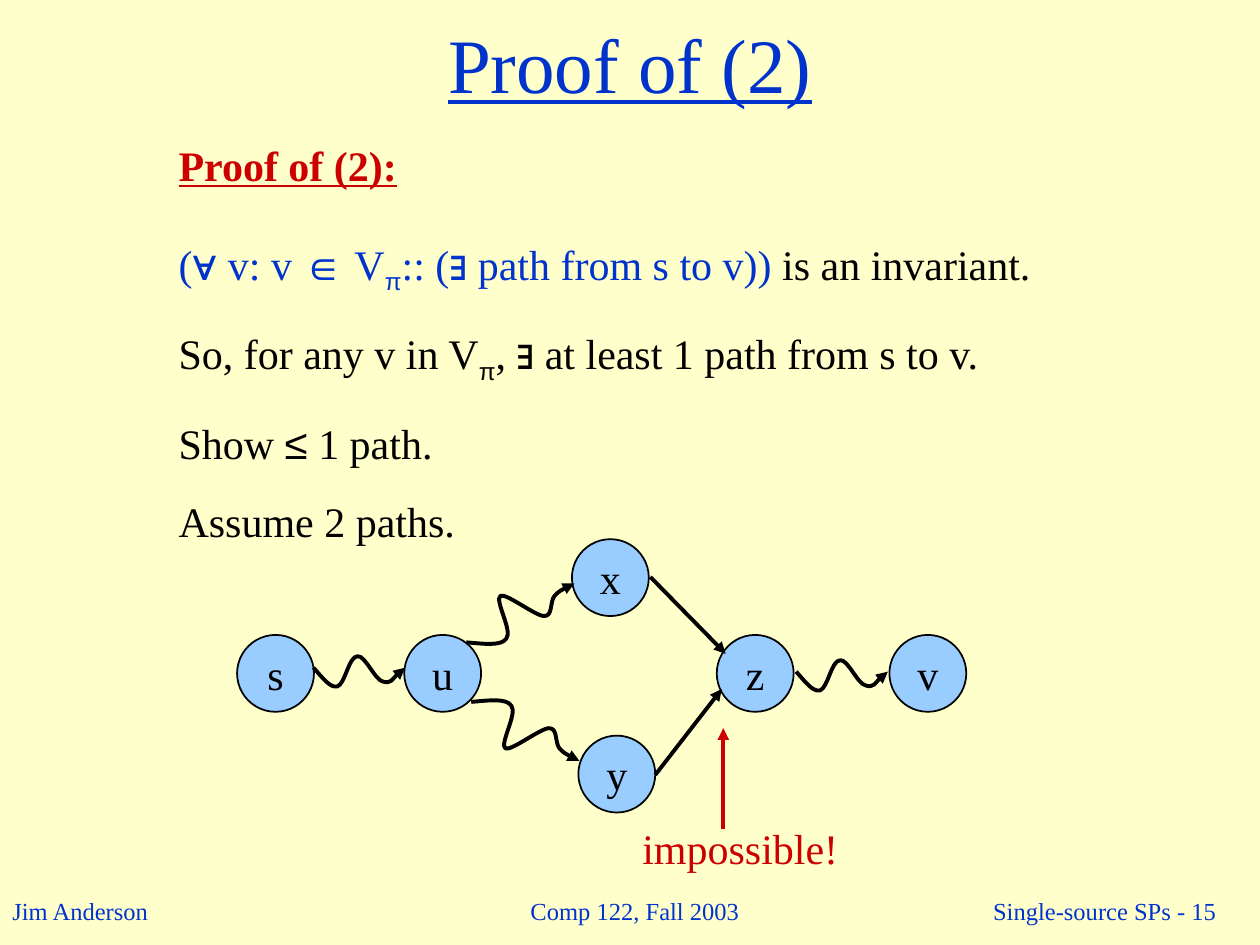
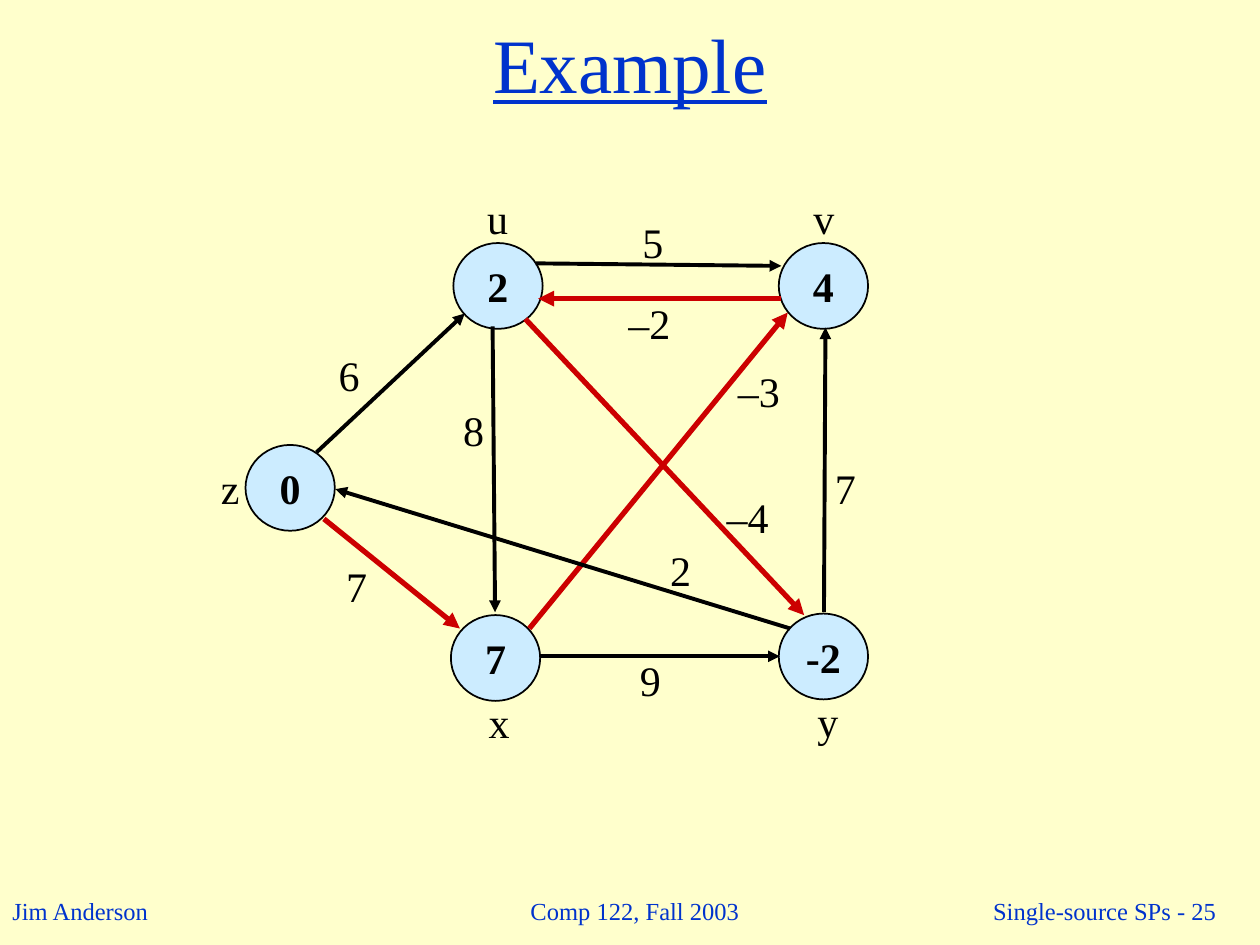
from lxml.etree import SubElement
from pptx import Presentation
from pptx.dml.color import RGBColor
from pptx.enum.shapes import MSO_CONNECTOR, MSO_SHAPE
from pptx.enum.text import MSO_ANCHOR, MSO_AUTO_SIZE, PP_ALIGN
from pptx.oxml.ns import qn
from pptx.util import Cm, Pt

COLORS = {
    name: RGBColor.from_string(value)
    for name, value in {
        "background": "FFFFCC",
        "blue": "0033CC",
        "red": "CC0000",
        "black": "000000",
        "path node": "99CCFF",
        "graph node": "CCECFF",
    }.items()
}
SERIF = "Times New Roman"
SANS = "Arial"


def write(shape, text, size=24, color="black", align=PP_ALIGN.CENTER, bold=False):
    frame = shape.text_frame
    frame.auto_size = MSO_AUTO_SIZE.NONE
    frame.word_wrap = align != PP_ALIGN.CENTER
    frame.vertical_anchor = MSO_ANCHOR.MIDDLE
    frame.text = text
    paragraph = frame.paragraphs[0]
    paragraph.alignment = align
    paragraph.font.name = SERIF
    paragraph.font.size = Pt(size)
    paragraph.font.bold = bold
    paragraph.font.color.rgb = COLORS[color]
    return paragraph


def style_arrow(shape, color="black", width=2.25):
    shape.line.color.rgb = COLORS[color]
    shape.line.width = Pt(width)
    properties = shape._element.spPr
    SubElement(properties.find(qn("a:ln")), qn("a:tailEnd"), type="triangle")
    SubElement(properties, qn("a:effectLst"))


presentation = Presentation()
presentation.slide_width = Cm(25.4)
presentation.slide_height = Cm(19.05)
background = presentation.slide_master.background.fill
background.solid()
background.fore_color.rgb = COLORS["background"]

slides = []
for title_text, page in [("Proof of (2)", 15), ("Example", 25)]:
    slide = presentation.slides.add_slide(presentation.slide_layouts[5])
    slides.append(slide)
    title = slide.shapes.title
    title.left, title.top, title.width, title.height = Cm(0), Cm(0), Cm(25.4), Cm(2.54)
    write(title, title_text, 44, "blue").font.underline = True
    for left, width, text, align in [
        (0, 5, "Jim Anderson", PP_ALIGN.LEFT),
        (10.16, 5.28, "Comp 122, Fall 2003", PP_ALIGN.CENTER),
        (17.78, 6.99, f"Single-source SPs - {page}", PP_ALIGN.RIGHT),
    ]:
        footer = slide.shapes.add_textbox(Cm(left), Cm(17.73), Cm(width), Cm(1.27))
        write(footer, text, 14, "blue", align)
proof_slide, example_slide = slides

body = proof_slide.shapes.add_textbox(Cm(3.35), Cm(2.69), Cm(19), Cm(11.38))
heading = write(body, "Proof of (2):", color="red", align=PP_ALIGN.LEFT, bold=True)
heading.font.underline = True
body.text_frame.vertical_anchor = MSO_ANCHOR.TOP

proof_lines = [
    (27.6, [("(∀ v: v ∈ V", "blue"), ("π", "blue"), (":: (∃ path from s to v))", "blue"),
            (" is an invariant.", "black")]),
    (18.4, [("So, for any v in V", "black"), ("π", "black"),
            (", ∃ at least 1 path from s to v.", "black")]),
    (18.4, [("Show ≤ 1 path.", "black")]),
    (16.1, [("Assume 2 paths.", "black")]),
]
for space, parts in proof_lines:
    paragraph = body.text_frame.add_paragraph()
    paragraph.space_before = Pt(space)
    paragraph.font.name = SERIF
    paragraph.font.size = Pt(24)
    for text, color in parts:
        for symbol in "∀∈∃≤π":
            text = text.replace(symbol, f"|{symbol}|")
        for piece in filter(None, text.split("|")):
            run = paragraph.add_run()
            run.text = piece
            run.font.color.rgb = COLORS[color]
            if piece in "∀∈∃≤π":
                run.font.name = SANS
            if piece == "π":
                run._r.get_or_add_rPr().set("baseline", "-25000")

path_nodes = [
    ("s", 4.78, 12.8), ("u", 8.15, 12.8), ("y", 11.66, 14.83),
    ("x", 11.53, 10.87), ("z", 14.45, 12.8), ("v", 17.93, 12.8),
]
graph_nodes = [
    ("0", 4.95, 8.97), ("-2", 15.7, 12.37), ("7", 9.09, 12.4),
    ("4", 15.7, 4.9), ("2", 9.14, 4.9),
]
for slide, nodes, width, height, fill, bold in [
    (proof_slide, path_nodes, 1.55, 1.55, "path node", False),
    (example_slide, graph_nodes, 1.8, 1.73, "graph node", True),
]:
    for text, left, top in nodes:
        node = slide.shapes.add_shape(MSO_SHAPE.OVAL, Cm(left), Cm(top), Cm(width), Cm(height))
        node.shadow.inherit = False
        node.fill.solid()
        node.fill.fore_color.rgb = COLORS[fill]
        node.line.color.rgb = COLORS["black"]
        node.line.width = Pt(1)
        write(node, text, bold=bold)

wave = [
    (0.18, 0.2), (0.33, 0.41), (0.48, 0.38), (0.64, 0.33), (0.71, -0.23), (0.89, -0.23),
    (1.04, -0.25), (1.24, 0.25), (1.4, 0.28), (1.57, 0.33), (1.73, 0.05), (1.85, 0),
]
branch = [
    (0.36, 0.03), (0.71, 0.08), (0.81, -0.08), (0.94, -0.23), (0.56, -0.86), (0.69, -0.94),
    (0.81, -0.99), (1.4, -0.53), (1.57, -0.53), (1.75, -0.53), (1.68, -0.81), (1.78, -0.94),
    (1.88, -1.04), (2.03, -1.12), (2.18, -1.19),
]
for left, top, offsets, direction in [
    (6.32, 13.46, wave, 1), (16.05, 13.54, wave, 1),
    (9.4, 12.95, branch, 1), (9.5, 14.15, branch, -1),
]:
    builder = proof_slide.shapes.build_freeform(Cm(left), Cm(top))
    builder.add_line_segments(
        [(Cm(left + x), Cm(top + direction * y)) for x, y in offsets], close=False
    )
    squiggle = builder.convert_to_shape()
    outline = squiggle._element.find(".//" + qn("a:path"))
    segments = outline.findall(qn("a:lnTo"))
    for start in range(0, len(segments), 3):
        curve = SubElement(outline, qn("a:cubicBezTo"))
        for segment in segments[start:start + 3]:
            curve.append(segment[0])
            outline.remove(segment)
    squiggle.fill.background()
    style_arrow(squiggle)

proof_arrows = [
    (13.11, 11.63, 14.63, 13.18, "black", 2.25),
    (13.21, 15.62, 14.55, 13.89, "black", 2.25),
    (14.58, 16.71, 14.58, 14.68, "red", 2.25),
]
example_arrows = [
    (6.38, 9.12, 9.37, 6.32, "black", 2.25),
    (6.53, 10.46, 9.27, 12.67, "red", 3),
    (9.93, 6.58, 9.98, 12.34, "black", 2.25),
    (16.61, 12.34, 16.64, 6.6, "black", 2.25),
    (10.9, 13.23, 15.72, 13.23, "black", 2.25),
    (10.8, 5.31, 15.75, 5.36, "black", 2.25),
    (10.67, 12.67, 15.88, 6.3, "red", 3),
    (15.93, 12.67, 6.76, 9.86, "black", 2.25),
    (15.75, 6.02, 10.85, 6.02, "red", 3),
    (10.59, 6.43, 16.21, 12.4, "red", 3),
]
for slide, arrows in [(proof_slide, proof_arrows), (example_slide, example_arrows)]:
    for *ends, color, width in arrows:
        arrow = slide.shapes.add_connector(MSO_CONNECTOR.STRAIGHT, *map(Cm, ends))
        style_arrow(arrow, color, width)

verdict = proof_slide.shapes.add_textbox(Cm(12.7), Cm(16.46), Cm(4.45), Cm(1.27))
write(verdict, "impossible!", color="red")

label_width = 1.35
for text, center, top in [
    ("z", 4.64, 9.19), ("u", 10.03, 3.76), ("v", 16.61, 3.76),
    ("x", 10.06, 13.92), ("y", 16.69, 13.89),
    ("6", 7.04, 6.91), ("5", 13.16, 4.24), ("–3", 15.3, 7.24),
    ("9", 13.11, 13.06), ("7", 17.04, 9.19), ("7", 7.19, 11.18),
    ("8", 9.55, 8.03), ("–2", 13.09, 5.87), ("–4", 15.07, 9.78),
    ("2", 13.72, 10.85),
]:
    label = example_slide.shapes.add_textbox(
        Cm(center - label_width / 2), Cm(top), Cm(label_width), Cm(1.27)
    )
    write(label, text)

presentation.save("out.pptx")
